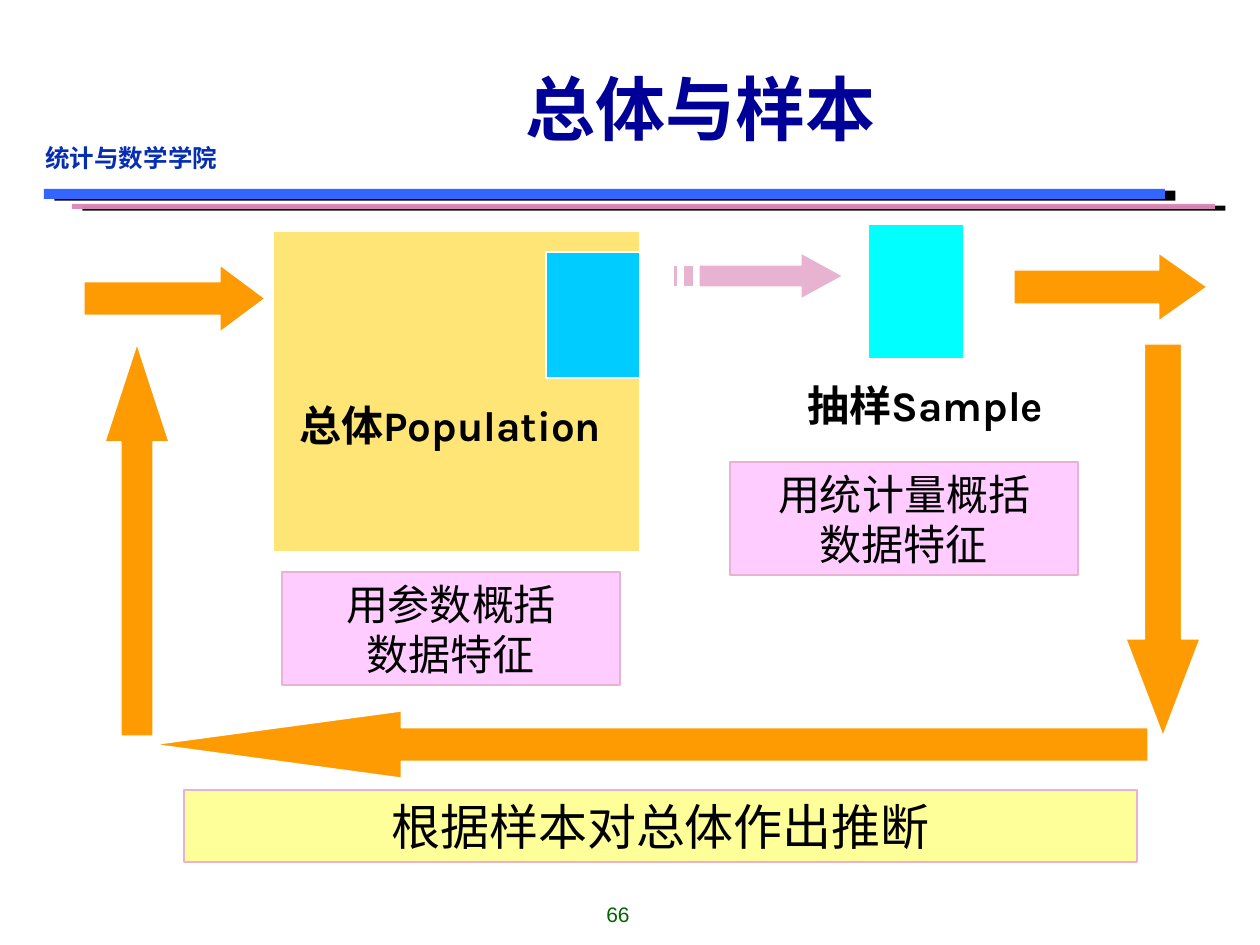
from lxml import etree
from pptx import Presentation
from pptx.dml.color import RGBColor
from pptx.enum import shapes, text
from pptx.oxml.ns import qn
from pptx.util import Pt

PX = 914400 / 126
COLORS = {
    "blue": "3366FF", "rose": "D989B8", "college": "052EB3", "number": "006600",
    "title": "000099", "population": "FFE575", "subset": "00CCFF", "sample": "00FFFF",
    "lilac": "FFCCFF", "yellow": "FFFF99", "pink": "E7B3D1", "orange": "FE9B03",
    "white": "FFFFFF", "black": "000000",
}
SHAPE = shapes.MSO_SHAPE
LEFT, CENTER = text.PP_ALIGN.LEFT, text.PP_ALIGN.CENTER

deck = Presentation()
deck.slide_width, deck.slide_height = round(1260 * PX), round(945 * PX)
slide = deck.slides.add_slide(deck.slide_layouts[6])


def paint(shape, fill, line=None):
    shape.shadow.inherit = False
    shape.fill.solid()
    shape.fill.fore_color.rgb = RGBColor.from_string(COLORS[fill])
    if line:
        shape.line.color.rgb = RGBColor.from_string(COLORS[line])
        shape.line.width = Pt(0.75)
    else:
        shape.line.fill.background()


def write(shape, words, size, font, color, bold=False, align=CENTER, wrap=True):
    frame = shape.text_frame
    frame.text = words
    frame.word_wrap = wrap
    frame.vertical_anchor = text.MSO_ANCHOR.TOP
    for paragraph in frame.paragraphs:
        paragraph.alignment = align
        for run in paragraph.runs:
            run.font.size = Pt(size)
            run.font.name = font
            run.font.bold = bold
            run.font.color.rgb = RGBColor.from_string(COLORS[color])
            east_asian = etree.SubElement(run.font._element, qn("a:ea"))
            east_asian.set("typeface", "Noto Sans CJK SC")


for box, fill in [((44, 189, 1121, 10), "blue"), ((72, 204, 1143, 5), "rose")]:
    rule = slide.shapes.add_shape(SHAPE.RECTANGLE, *[round(n * PX) for n in box])
    paint(rule, fill)
    effects = rule._element.spPr.find(qn("a:effectLst"))
    shadow = etree.SubElement(effects, qn("a:outerShdw"), dist="77470", dir="540000",
                              algn="ctr", rotWithShape="0")
    etree.SubElement(shadow, qn("a:srgbClr"), val=COLORS["black"])
    if fill == "rose":
        tint = rule._element.spPr.find(qn("a:solidFill"))[0]
        etree.SubElement(tint, qn("a:alpha"), val="97000")

for box, fill in [
    ((273, 231, 367, 321), "population"),
    ((546, 252, 94, 126), "subset"),
    ((868, 224, 96, 135), "sample"),
]:
    block = slide.shapes.add_shape(SHAPE.RECTANGLE, *[round(n * PX) for n in box])
    paint(block, fill, "white")

for box, words, size, font, color, bold, align, wrap in [
    ((33, 137, 221, 42), "统计与数学学院", 14, "Arial", "college", True, LEFT, True),
    ((509, 895, 218, 38), "66", 12, "Arial", "number", False, CENTER, True),
    ((233, 55, 935, 113), "总体与样本", 40, "Noto Sans CJK SC", "title", True, CENTER, True),
    ((287, 393, 348, 63), "总体Population", 24, "Karla", "black", True, LEFT, False),
    ((795, 373, 273, 63), "抽样Sample", 24, "Karla", "black", True, LEFT, False),
]:
    label = slide.shapes.add_textbox(*[round(n * PX) for n in box])
    write(label, words, size, font, color, bold, align, wrap)
    if color == "title":
        label.text_frame.vertical_anchor = text.MSO_ANCHOR.MIDDLE
        label.text_frame.paragraphs[0].line_spacing = 0.95

for box, words, size, font, fill in [
    ((282, 572, 338, 113), "用参数概括\n数据特征", 24, "Arial", "lilac"),
    ((730, 462, 348, 113), "用统计量概括\n数据特征", 24, "Karla", "lilac"),
    ((184, 790, 953, 72), "根据样本对总体作出推断", 28, "Karla", "yellow"),
]:
    summary = slide.shapes.add_shape(SHAPE.RECTANGLE, *[round(n * PX) for n in box])
    paint(summary, fill, "pink")
    write(summary, words, size, font, "black")

sampling = slide.shapes.build_freeform(801, 253, scale=PX)
sampling.add_line_segments(
    [(801, 265), (699, 265), (699, 287), (801, 287), (801, 299), (843, 276)])
for left, right in [(683, 694), (673, 678)]:
    sampling.move_to(left, 265)
    sampling.add_line_segments([(left, 287), (right, 287), (right, 265)])
paint(sampling.convert_to_shape(), "pink", "white")

for kind, box, head in [
    (SHAPE.RIGHT_ARROW, (1014, 253, 193, 68), 0.71),
    (SHAPE.DOWN_ARROW, (1126, 344, 74, 392), 1.31),
    (SHAPE.LEFT_ARROW, (154, 711, 994, 67), 3.69),
    (SHAPE.UP_ARROW, (105, 344, 64, 392), 1.53),
    (SHAPE.RIGHT_ARROW, (84, 265, 181, 67), 0.67),
]:
    arrow = slide.shapes.add_shape(kind, *[round(n * PX) for n in box])
    arrow.adjustments[0] = 0.5
    arrow.adjustments[1] = head
    paint(arrow, "orange", "white")

deck.save("out.pptx")
